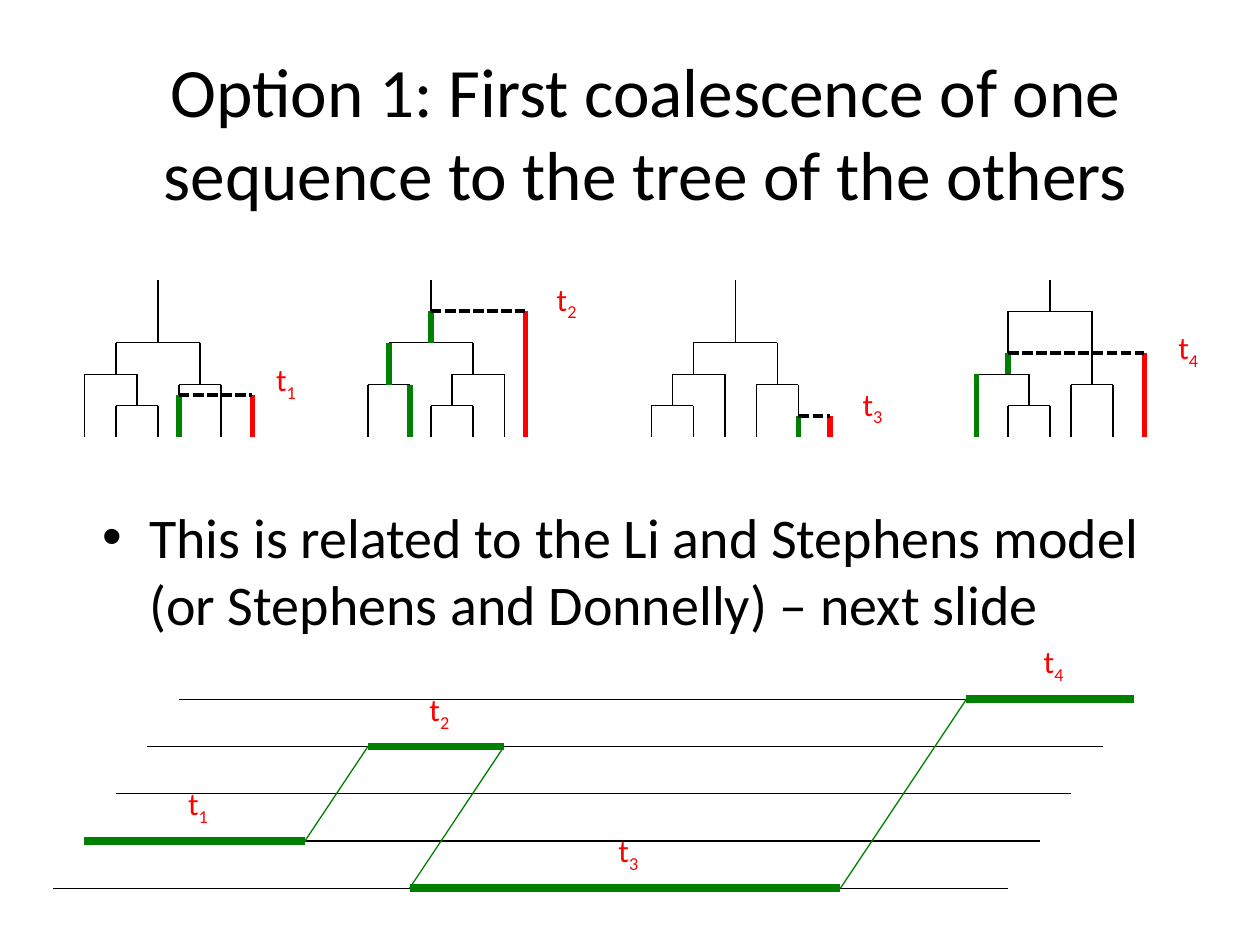
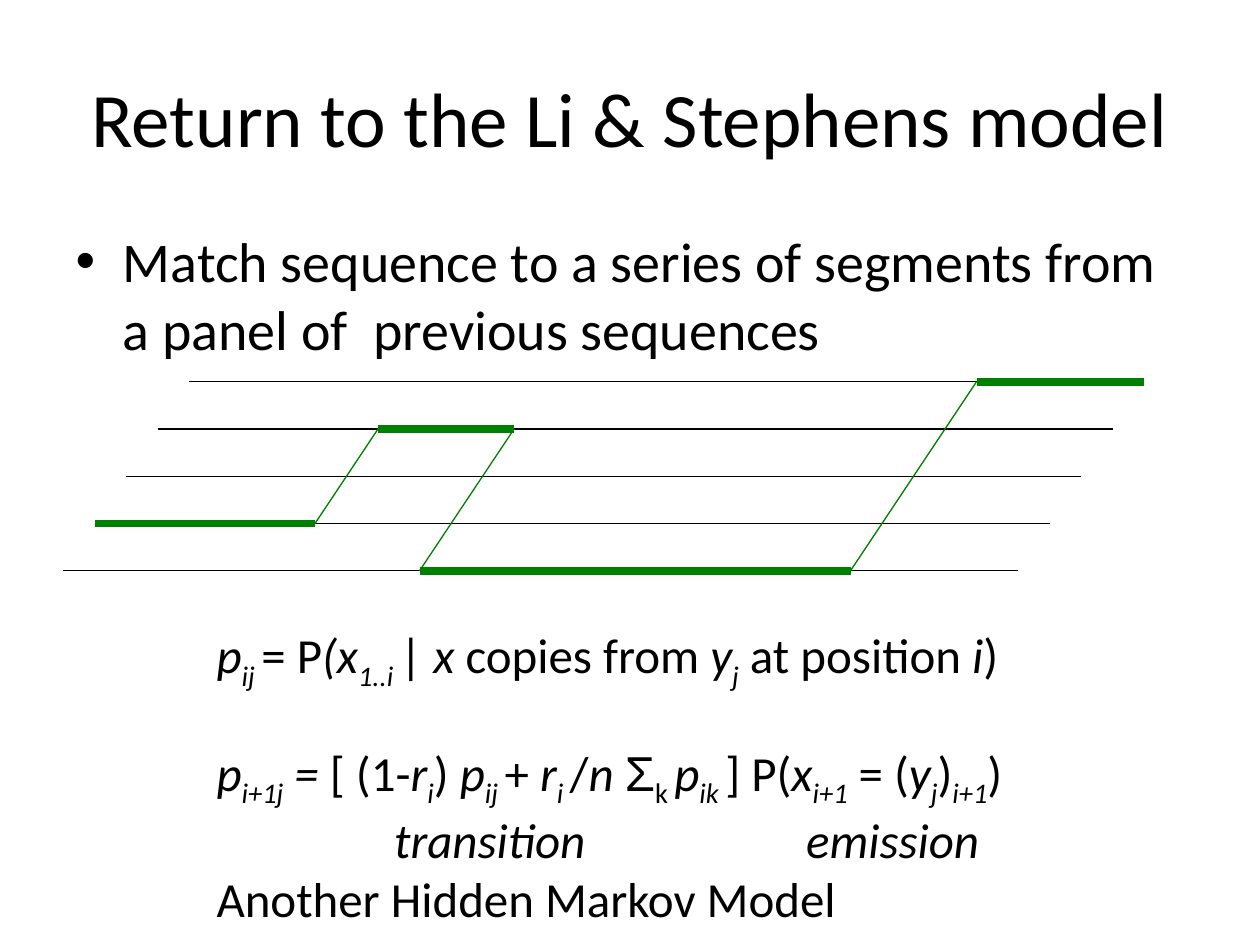
from itertools import pairwise

from lxml.etree import SubElement
from pptx import Presentation
from pptx.dml.color import RGBColor
from pptx.enum.dml import MSO_LINE
from pptx.enum.shapes import MSO_CONNECTOR
from pptx.enum.text import MSO_ANCHOR, MSO_AUTO_SIZE, PP_ALIGN
from pptx.oxml.ns import qn
from pptx.util import Inches, Pt

BLACK = RGBColor(0x00, 0x00, 0x00)
RED = RGBColor(0xFF, 0x00, 0x00)
GREEN = RGBColor(0x00, 0x80, 0x00)
FONT = "Calibri"
THIN = 0.75

# Trees are laid out in twelfths of an inch, from the top of the stem.
UNIT = 1 / 12
TREE_TOP = 2.22
PRESENT = 15

# A node is (x, depth, left child, right child); a leaf is its x.
# query: (x, depth, x it joins); copied: (x, from depth, to depth)
TREES = [
    dict(left=0.67, root=(7, 6, (3, 9, 0, (5, 12, 3, 7)), (11, 10, 9, 13)),
         query=(16, 11, 9), copied=[(9, 11, 15)], label=(0.09, -0.33)),
    dict(left=2.92, root=(6, 6, (2, 10, 0, 4), (10, 9, (8, 12, 6, 10), 13)),
         query=(15, 3, 6), copied=[(6, 3, 6), (2, 6, 10), (4, 10, 15)],
         label=(0.15, -0.3)),
    dict(left=5.17, root=(8, 6, (4, 9, (2, 12, 0, 4), 7), (12, 10, 10, 14)),
         query=(17, 13, 14), copied=[(14, 13, 15)], label=(0.16, -0.3)),
    dict(left=7.75, root=(7, 3, (3, 9, 0, (5, 12, 3, 7)), (11, 10, 9, 13)),
         query=(16, 7, 3), copied=[(3, 7, 9), (0, 9, 15)],
         label=(0.17, -0.25)),
]

# Panel of sequences: each row starts a step further left than the one above.
ROWS, ROW_GAP, ROW_SHIFT, ROW_LENGTH = 5, 0.375, 0.25, 7.58
# (row, start, end), in inches from the left of the panel
SEGMENTS = [(3, 0.25, 2), (1, 2.5, 3.58), (4, 2.83, 6.25), (0, 7.25, 8.58)]

# Runs are (text, style): i italic, s subscript, a Arial.
DEFINITION = [
    ("p", "i"), ("ij ", "is"), ("= P", ""), ("(x", "i"), ("1..i ", "is"),
    ("| ", ""), ("x", "i"), (" copies from ", ""), ("y", "i"), ("j", "is"),
    (" at position ", ""), ("i", "i"), (")", ""),
]
RECURSION = [
    ("p", "i"), ("i+1j", "is"), (" =", "i"), (" [ (1-", ""), ("r", "i"),
    ("i", "is"), (") ", ""), ("p", "i"), ("ij ", "is"), ("+ ", ""),
    ("r", "i"), ("i ", "is"), ("/", ""), ("n ", "i"), ("Σ", "a"),
    ("k ", "s"), ("p", "i"), ("ik ", "is"), ("] P(", ""), ("x", "i"),
    ("i+1", "is"), (" = (", ""), ("y", "i"), ("j", "is"), (")", ""),
    ("i+1", "is"), (")", ""),
]


def format_paragraph(p, size, color=BLACK):
    p.font.name = FONT
    p.font.size = Pt(size)
    p.font.color.rgb = color


def add_runs(p, runs):
    for text, style in runs:
        r = p.add_run()
        r.text = text
        if "i" in style:
            r.font.italic = True
        if "a" in style:
            r.font.name = "Arial"
        if "s" in style:
            r.font._element.set("baseline", "-25000")


def add_line(s, start, end, color=BLACK, width=THIN, dashed=False):
    points = [Inches(v) for v in (*start, *end)]
    line = s.shapes.add_connector(MSO_CONNECTOR.STRAIGHT, *points)
    line.line.color.rgb = color
    line.line.width = Pt(width)
    if dashed:
        line.line.dash_style = MSO_LINE.SQUARE_DOT
    SubElement(line._element.spPr, qn("a:effectLst"))


def add_text_box(s, left, top, width, height):
    box = s.shapes.add_textbox(*map(Inches, (left, top, width, height)))
    box.text_frame.word_wrap = True
    return box.text_frame


def add_time_label(s, left, top, number):
    p = add_text_box(s, left, top, 0.41, 0.5).paragraphs[0]
    format_paragraph(p, 18, RED)
    add_runs(p, [("t", ""), (str(number), "s")])


def fill_placeholder(sp, box, text, size):
    sp.left, sp.top, sp.width, sp.height = map(Inches, box)
    tf = sp.text_frame
    tf.text = text
    tf.auto_size = MSO_AUTO_SIZE.NONE
    p = tf.paragraphs[0]
    p.space_before = Pt(0)
    format_paragraph(p, size)
    return tf


def add_slide(prs, title, title_box, title_size, body, body_box):
    s = prs.slides.add_slide(prs.slide_layouts[1])
    tf = fill_placeholder(s.shapes.title, title_box, title, title_size)
    tf.vertical_anchor = MSO_ANCHOR.MIDDLE
    tf.paragraphs[0].alignment = PP_ALIGN.CENTER
    fill_placeholder(s.placeholders[1], body_box, body, 32)
    return s


def add_tree(s, number, left, root, query, copied, label):
    """Draw a tree, the query joining it, and the lineage it copies."""
    def at(x, depth):
        return left + x * UNIT, TREE_TOP + depth * UNIT

    def add_branch(node, parent_depth):
        if isinstance(node, int):
            add_line(s, at(node, parent_depth), at(node, PRESENT))
            return
        x, depth, *children = node
        add_line(s, at(x, parent_depth), at(x, depth))
        ends = [c if isinstance(c, int) else c[0] for c in children]
        add_line(s, at(ends[0], depth), at(ends[1], depth))
        for child in children:
            add_branch(child, depth)

    add_branch(root, 0)
    x, depth, joined = query
    add_line(s, at(x, depth), at(x, PRESENT), RED, 3)
    for lineage, start, end in copied:
        add_line(s, at(lineage, start), at(lineage, end), GREEN, 3)
    add_line(s, at(joined, depth), at(x, depth), width=2, dashed=True)
    query_x, query_y = at(x, depth)
    add_time_label(s, query_x + label[0], query_y + label[1], number)


def add_panel(s, left, top, labelled=False):
    """Draw the panel of sequences and the path copied through it."""
    def at(row, x):
        return left + x, top + row * ROW_GAP

    for row in range(ROWS):
        start = (ROWS - 1 - row) * ROW_SHIFT
        add_line(s, at(row, start), at(row, start + ROW_LENGTH))
    for row, start, end in SEGMENTS:
        add_line(s, at(row, start), at(row, end), GREEN, 4.5)
    for (row, _, end), (next_row, start, _) in pairwise(SEGMENTS):
        add_line(s, at(row, end), at(next_row, start), GREEN)
    if labelled:
        for number, (row, start, end) in enumerate(SEGMENTS, 1):
            x, y = at(row, (start + end) / 2)
            add_time_label(s, x - 0.15, y - 0.5, number)


def add_formulas(s, left, top):
    tf = add_text_box(s, left, top, 6.85, 2.5)
    lines = [
        DEFINITION,
        RECURSION,
        [("\ttransition\temission", "i")],
        [("Another Hidden Markov Model", "")],
    ]
    for i, runs in enumerate(lines):
        p = tf.add_paragraph() if i else tf.paragraphs[0]
        if runs[0][0].startswith("\t"):
            tabs = SubElement(p._p.get_or_add_pPr(), qn("a:tabLst"))
            for position in (1.41, 4.68):
                SubElement(tabs, qn("a:tab"), pos=str(Inches(position)), algn="l")
        if runs is RECURSION:
            p.space_before = Pt(29)
        format_paragraph(p, 28)
        add_runs(p, runs)


def build_coalescence_slide(prs):
    s = add_slide(
        prs,
        "Option 1: First coalescence of one sequence to the tree of the others",
        (0.75, 0.42, 8.75, 1.25), 39.6,
        "This is related to the Li and Stephens model "
        "(or Stephens and Donnelly) – next slide",
        (0.71, 3.94, 8.75, 2.31))
    for number, tree in enumerate(TREES, 1):
        add_tree(s, number, **tree)
    add_panel(s, 0.42, 5.55, labelled=True)


def build_model_slide(prs):
    s = add_slide(
        prs,
        "Return to the Li & Stephens model",
        (0.5, 0.3, 9, 1.25), 44,
        "Match sequence to a series of segments from "
        "a panel of  previous sequences",
        (0.5, 1.75, 9, 3.16))
    add_panel(s, 0.5, 3.03)
    add_formulas(s, 1.62, 4.91)


def main():
    prs = Presentation()
    prs.slide_width, prs.slide_height = Inches(10), Inches(7.5)
    build_coalescence_slide(prs)
    build_model_slide(prs)
    prs.save("out.pptx")


if __name__ == "__main__":
    main()
